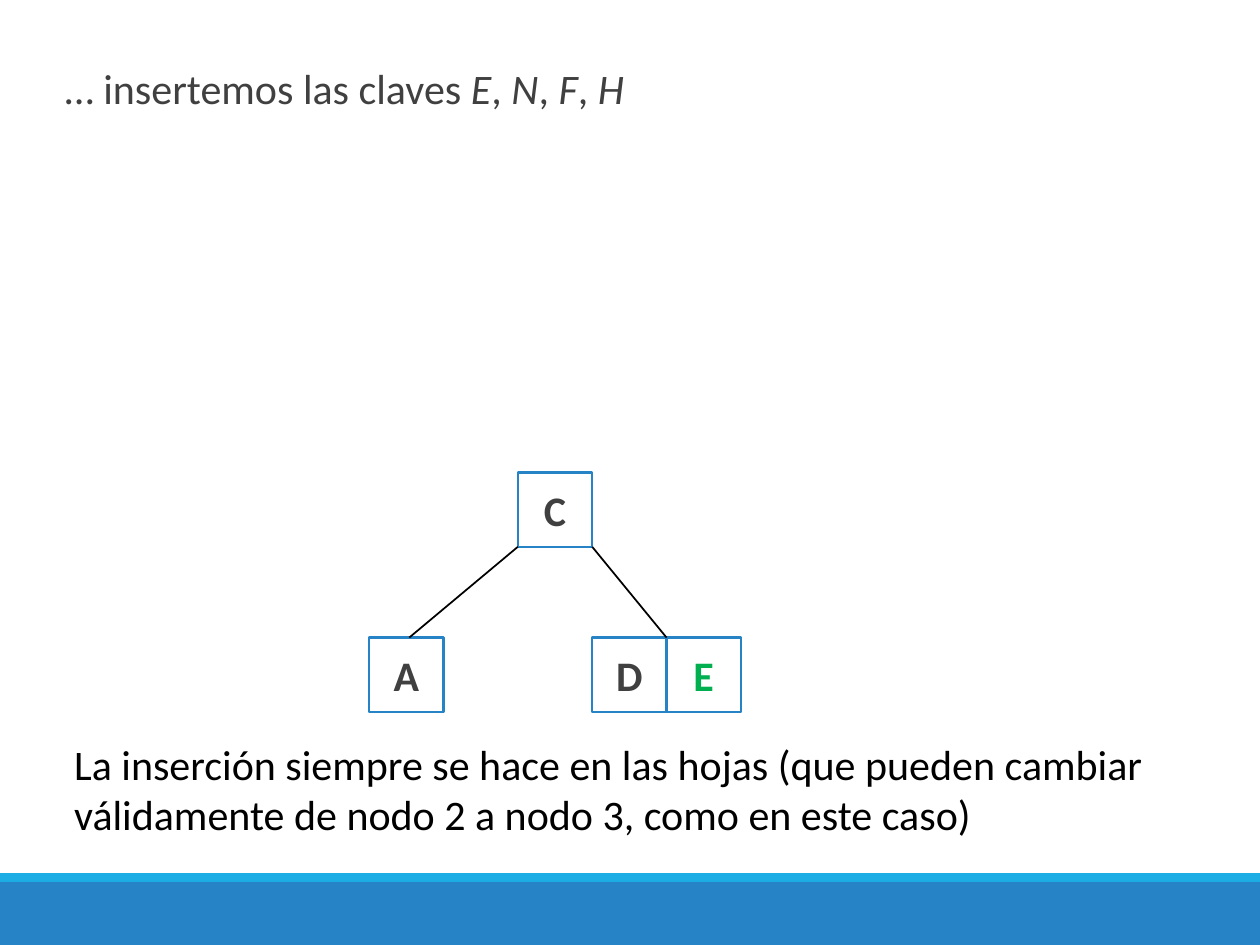
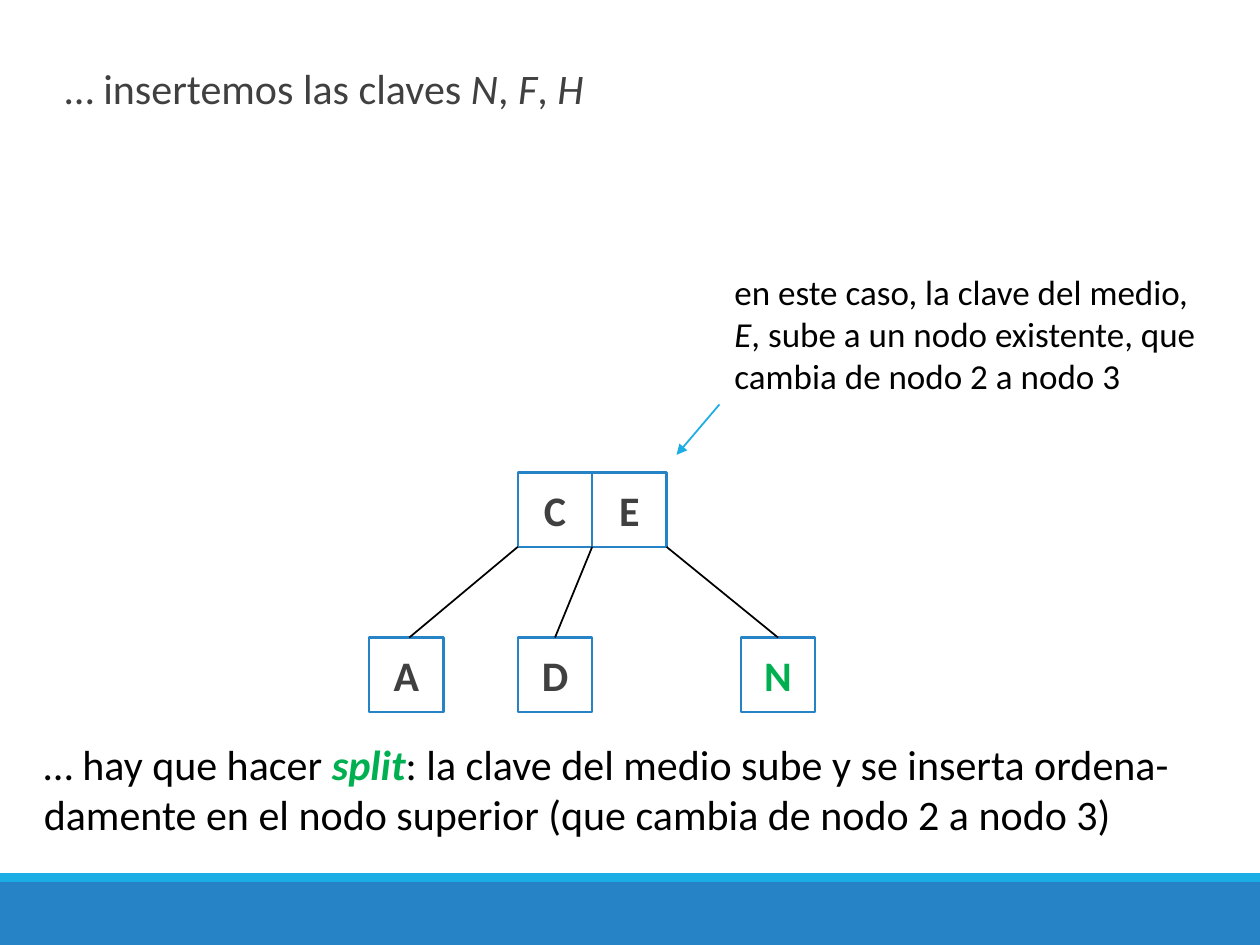
from lxml.etree import SubElement
from pptx import Presentation
from pptx.dml.color import RGBColor
from pptx.enum.shapes import MSO_CONNECTOR, MSO_SHAPE
from pptx.enum.text import MSO_ANCHOR, MSO_AUTO_SIZE, PP_ALIGN
from pptx.oxml.ns import qn
from pptx.util import Inches, Pt

# Colours
BLUE = RGBColor(0x26, 0x83, 0xC6)
CYAN = RGBColor(0x1C, 0xAD, 0xE4)
GREY = RGBColor(0x40, 0x40, 0x40)
GREEN = RGBColor(0x00, 0xB0, 0x50)
BLACK = RGBColor(0, 0, 0)
WHITE = RGBColor(255, 255, 255)

# Slide and tree grid, in inches
WIDTH, HEIGHT = 10, 7.5
MARGIN = 0.25
KEY = 0.59                      # side of one key cell
TREE_LEFT = 2.93
ROOT_TOP, LEAF_TOP = 3.75, 5.06
NOTE_TOP, NOTE_HEIGHT = 5.81, 0.91

# Run formats
PLAIN = {"name": "Calibri", "size": Pt(24), "bold": False, "italic": False}
ITALIC = {"italic": True}
BOLD = {"bold": True}
TITLE_SPACING = {"line_spacing": 1.5, "space_before": Pt(12), "space_after": Pt(2)}


def column(index):
    return TREE_LEFT + index * KEY


def set_all(target, values):
    for name, value in values.items():
        setattr(target, name, value)


def write(paragraph, runs, colour=BLACK, base=PLAIN):
    """Each run is (text, format[, colour])."""
    for text, extra, *own_colour in runs:
        run = paragraph.add_run()
        run.text = text
        set_all(run.font, {**base, **extra})
        run.font.color.rgb = own_colour[0] if own_colour else colour


def add_box(slide, left, top, width, height, fill, outline=None):
    box = slide.shapes.add_shape(MSO_SHAPE.RECTANGLE, Inches(left), Inches(top),
                                 Inches(width), Inches(height))
    box.shadow.inherit = False
    box.fill.solid()
    box.fill.fore_color.rgb = fill
    if outline is None:
        box.line.fill.background()
    else:
        box.line.color.rgb = outline
        box.line.width = Pt(1.25)
    return box


def add_text(slide, left, top, width, height, lines, base=PLAIN, wrap=True):
    frame = slide.shapes.add_textbox(Inches(left), Inches(top),
                                     Inches(width), Inches(height)).text_frame
    set_all(frame, {"word_wrap": wrap, "auto_size": MSO_AUTO_SIZE.SHAPE_TO_FIT_TEXT})
    for number, runs in enumerate(lines):
        paragraph = frame.add_paragraph() if number else frame.paragraphs[0]
        write(paragraph, runs, base=base)


def add_line(slide, start, end, colour=BLACK, arrow=False):
    line = slide.shapes.add_connector(MSO_CONNECTOR.STRAIGHT,
                                      *map(Inches, (*start, *end)))
    line.line.color.rgb = colour
    line.line.width = Pt(1)
    if arrow:
        SubElement(line.line._get_or_add_ln(), qn("a:tailEnd"), type="triangle")
    SubElement(line._element.spPr, qn("a:effectLst"))


def add_title(slide, keys):
    frame = slide.shapes.add_textbox(Inches(MARGIN), Inches(MARGIN),
                                     Inches(WIDTH - 2 * MARGIN), Inches(6.42)).text_frame
    frame.word_wrap = True
    paragraph = frame.paragraphs[0]
    set_all(paragraph, TITLE_SPACING)
    indent = Inches(0.1)
    properties = paragraph._p.get_or_add_pPr()
    properties.set("marL", str(indent))
    properties.set("indent", str(-indent))
    SubElement(properties, qn("a:buChar"), char=" ")
    runs = [("… insertemos las claves ", {})]
    for number, key in enumerate(keys):
        if number:
            runs.append((", ", {}))
        runs.append((key, ITALIC))
    write(paragraph, runs, GREY)


def add_key(slide, letter, col, top, colour=GREY):
    cell = add_box(slide, column(col), top, KEY, KEY, WHITE, BLUE)
    cell.text_frame.vertical_anchor = MSO_ANCHOR.MIDDLE
    paragraph = cell.text_frame.paragraphs[0]
    paragraph.alignment = PP_ALIGN.CENTER
    write(paragraph, [(letter, BOLD)], colour)


def add_tree(slide, root, leaves, branches, new_key):
    """Keys are {letter: column}; branches are (root column, leaf column)."""
    for keys, top in ((root, ROOT_TOP), (leaves, LEAF_TOP)):
        for letter, col in keys.items():
            add_key(slide, letter, col, top, GREEN if letter == new_key else GREY)
    for parent, child in branches:
        add_line(slide, (column(parent), ROOT_TOP + KEY), (column(child), LEAF_TOP))


def start_slide(deck, keys):
    slide = deck.slides.add_slide(deck.slide_layouts[6])
    # Footer bands
    add_box(slide, 0, 7, WIDTH, HEIGHT - 7, BLUE)
    add_box(slide, 0, 6.93, WIDTH, 0.07, CYAN)
    add_title(slide, keys)
    return slide


def insert_e(deck):
    slide = start_slide(deck, "ENFH")
    add_tree(slide, {"C": 2}, {"A": 0, "D": 3, "E": 4}, [(2, 0.54), (3, 4)], "E")
    add_text(slide, 0.49, NOTE_TOP, 8.72, NOTE_HEIGHT, [
        [("La inserción siempre se hace en las hojas (que pueden cambiar", {})],
        [("válidamente de nodo 2 a nodo 3, como en este caso)", {})]])


def insert_n(deck):
    slide = start_slide(deck, "NFH")
    add_tree(slide, {"C": 2, "E": 3}, {"A": 0, "D": 2, "N": 5},
             [(2, 0.54), (3, 2.5), (4, 5.5)], "N")
    add_text(slide, MARGIN, NOTE_TOP, WIDTH - 2 * MARGIN, NOTE_HEIGHT, [
        [("… hay que hacer ", {}), ("split", {**BOLD, **ITALIC}, GREEN),
         (": la clave del medio sube y se inserta ordena- damente en el nodo "
          "superior (que cambia de nodo 2 a nodo 3)", {})]])
    # Remark on the root, with its arrow
    add_text(slide, 5.73, 2.1, 3.89, 1.11, [
        [("en este caso, la clave del medio,", {})],
        [("E", ITALIC), (", sube a un nodo existente, que", {})],
        [("cambia de nodo 2 a nodo 3", {})]],
        base={**PLAIN, "size": Pt(20)}, wrap=False)
    add_line(slide, (5.71, 3.21), (5.37, 3.61), CYAN, arrow=True)


def main():
    deck = Presentation()
    set_all(deck, {"slide_width": Inches(WIDTH), "slide_height": Inches(HEIGHT)})
    insert_e(deck)
    insert_n(deck)
    deck.save("out.pptx")


main()
